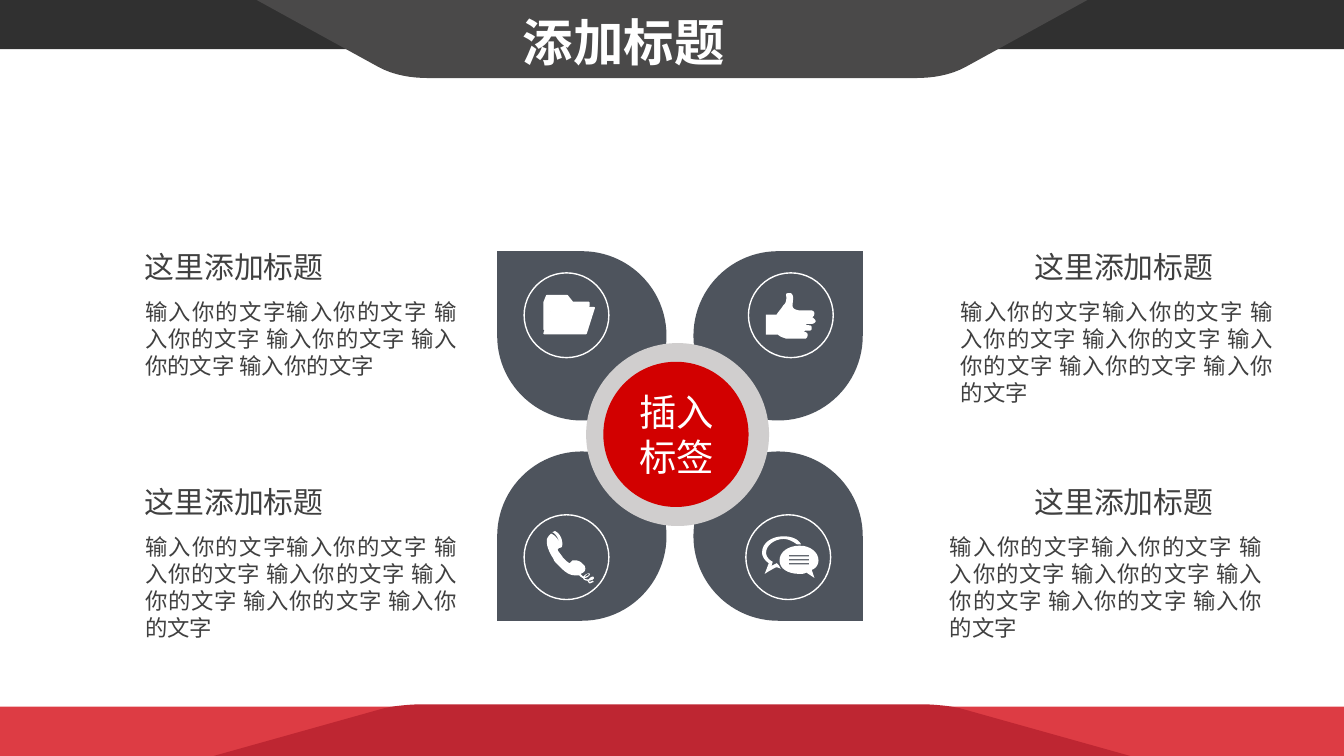
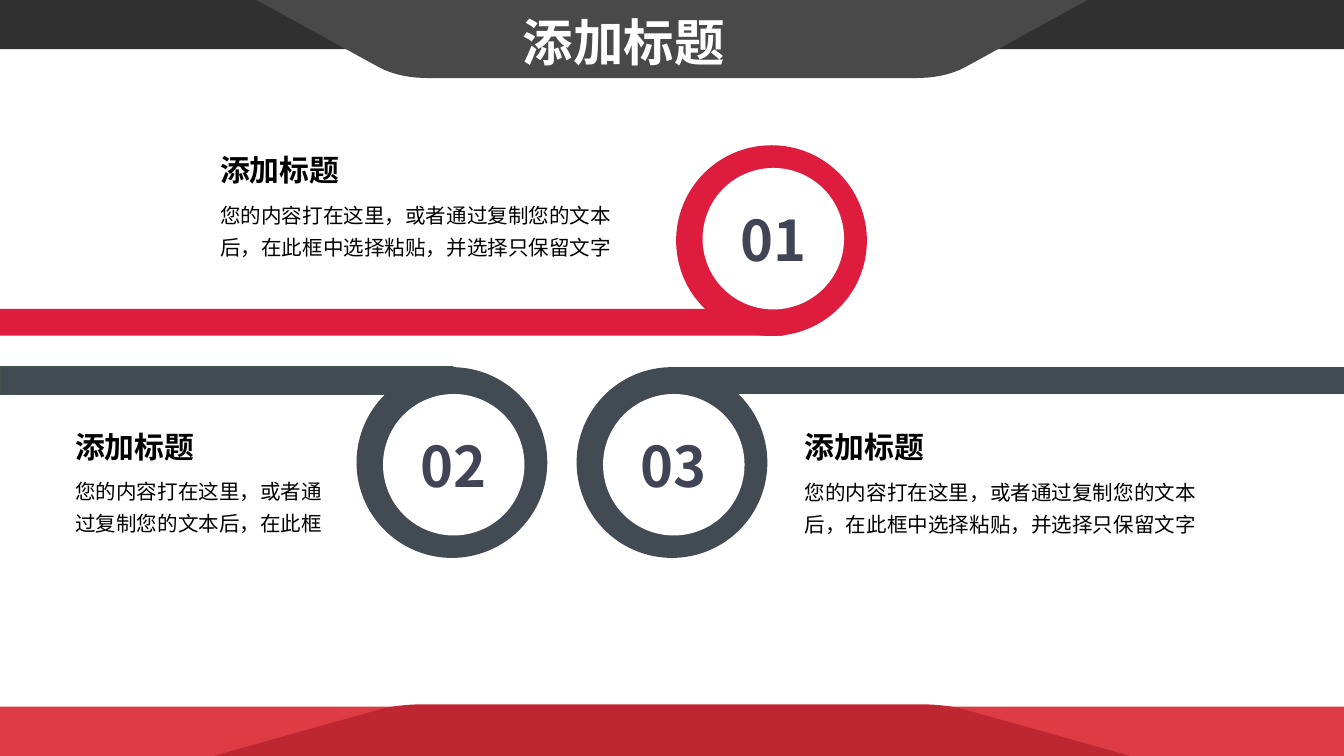
from lxml.etree import SubElement
from pptx import Presentation
from pptx.dml.color import RGBColor
from pptx.enum.shapes import MSO_SHAPE
from pptx.enum.text import MSO_ANCHOR, MSO_AUTO_SIZE, PP_ALIGN
from pptx.oxml.ns import qn
from pptx.util import Pt

FONT = "Noto Sans CJK SC"
WIDTH, HEIGHT = 720, 405
WHITE, BLACK, GREY_TEXT, NUMBER = "FFFFFF", "000000", "404040", "414455"
RED, DARK_RED, CHARCOAL, GREY = "DD3C44", "BE2632", "303030", "4A4949"
PETAL, RING, CORE = "222A35", "D0CECE", "D20000"
CRIMSON, SLATE, SLATE_EDGE = "DD1C3E", "424A53", "41514E"

BADGE = 45.4  # diameter of the circle round an icon
ICON_UNIT = 0.72  # size of one step of the icon grid

# Icon contours on a grid from the badge's corner:
# pairs are line ends, sixes are Bézier curves
FOLDER = [
    [(52, 26), (46, 45), (15, 45), (21, 26)],
    [(20, 26), (21, 25), (48, 25), (48, 22), (36, 22), (32, 17), (17, 17),
     (15, 22), (15, 42)],
]
THUMB = [[
    (47, 38), (48, 38, 50, 37, 50, 36), (50, 35, 48, 33, 47, 33), (44, 33),
    (47, 33), (48, 33, 49, 32, 49, 30), (49, 29, 48, 28, 47, 28), (38, 28),
    (31, 27, 33, 24, 33, 21), (34, 17, 32, 15, 31, 15),
    (30, 15, 28, 15, 28, 16), (28, 17, 29, 22, 26, 24),
    (25, 26, 22, 29, 21, 31), (13, 31), (13, 46), (22, 46),
    (24, 48, 26, 48, 28, 49), (30, 49, 32, 49, 34, 49), (42, 49),
    (43, 49, 44, 48, 44, 46), (44, 45, 43, 44, 42, 44), (41, 44), (42, 43),
    (45, 43), (47, 43, 47, 42, 47, 41), (47, 40, 47, 39, 45, 39), (43, 39),
    (43, 38),
]]
PHONE = [
    [
        (23, 12), (29, 15, 29, 23, 28, 24), (27, 25, 26, 24, 25, 26),
        (25, 27, 28, 30, 29, 32), (30, 33, 33, 36, 34, 36), (36, 34),
        (37, 34, 41, 33, 44, 37), (45, 37, 47, 41, 44, 43), (42, 44),
        (44, 46), (45, 45, 46, 44, 47, 44), (48, 43, 49, 44, 49, 44),
        (49, 45, 48, 46, 46, 47), (45, 47), (45, 48, 46, 48, 48, 48),
        (49, 47, 50, 46, 51, 46), (52, 46, 52, 47, 52, 47),
        (52, 48, 50, 49, 48, 49), (48, 50, 50, 50, 51, 49), (52, 50),
        (51, 50, 50, 51, 49, 51), (48, 51, 48, 50, 47, 49),
        (45, 49, 44, 48, 44, 47), (43, 47, 42, 46, 41, 45), (39, 45),
        (37, 45, 33, 46, 25, 37), (23, 35, 22, 34, 22, 33),
        (16, 24, 17, 20, 17, 18), (18, 16, 19, 15, 20, 14),
        (23, 15, 25, 18, 26, 20), (26, 19, 24, 14, 21, 13),
    ],
    [(47, 44), (48, 44), (48, 45), (46, 46), (45, 46)],
]
CHAT = [
    [
        (23, 36), (19, 38), (20, 35), (16, 33, 15, 30, 15, 28),
        (15, 23, 21, 18, 28, 18), (32, 18, 35, 20, 38, 22), (41, 22),
        (39, 18, 34, 16, 28, 16), (19, 16, 12, 21, 12, 28),
        (12, 31, 14, 34, 17, 36), (14, 44), (17, 42),
        (19, 41, 22, 39, 23, 39), (26, 40), (25, 39, 25, 38, 24, 37),
    ],
    [
        (54, 34), (54, 28, 48, 23, 40, 23), (31, 23, 25, 28, 25, 34),
        (25, 40, 31, 44, 40, 44), (42, 44, 43, 44, 45, 43), (51, 47),
        (49, 41), (52, 40, 54, 37, 54, 34),
    ],
    *[[(32, y), (47, y), (47, y + 1), (32, y + 1)] for y in (30, 33, 36)],
]


def rgb(value):
    return RGBColor.from_string(value)


def flatten(contour, steps=8):
    """Turn line ends and Bézier curves into plain points."""
    points = []
    for step in contour:
        if len(step) == 2:
            points.append(step)
            continue
        nodes = [points[-1], step[:2], step[2:4], step[4:]]
        for i in range(1, steps + 1):
            t = i / steps
            weights = ((1 - t) ** 3, 3 * t * (1 - t) ** 2, 3 * t * t * (1 - t), t ** 3)
            points.append(tuple(sum(w * n[a] for w, n in zip(weights, nodes)) for a in (0, 1)))
    return points


class Deck:
    def __init__(self):
        self.prs = Presentation()
        self.prs.slide_width, self.prs.slide_height = Pt(WIDTH), Pt(HEIGHT)
        self.s = None

    def slide(self, title):
        self.s = self.prs.slides.add_slide(self.prs.slide_layouts[5])
        # Bottom and top bands, each with its raised middle panel
        self.shape(MSO_SHAPE.RECTANGLE, 0, 378.6, WIDTH, 26.4, RED)
        self.panel([(114.5, 405), (203, 380.2), (210.2, 378, 220.3, 377.3, 229, 377.3)], DARK_RED)
        self.shape(MSO_SHAPE.RECTANGLE, 0, 0, WIDTH, 26.4, CHARCOAL)
        self.panel([(137.5, 0), (203, 36), (211, 40.3, 220.3, 41.8, 229.5, 41.8)], GREY)
        # Title, brought in front of the bands
        sp = self.s.shapes.title
        self.s.shapes._spTree.append(sp._element)
        sp.left, sp.top, sp.width, sp.height = Pt(272.9), Pt(2.2), Pt(123.8), Pt(40.3)
        self.set_text(sp.text_frame, title, 27, WHITE, bold=True, wrap=False)

    def paint(self, sp, fill=None, line=None, weight=1, alpha=None):
        sp.shadow.inherit = False
        if fill:
            sp.fill.solid()
            sp.fill.fore_color.rgb = rgb(fill)
        else:
            sp.fill.background()
        if alpha:
            color = sp._element.spPr.find(qn("a:solidFill"))[0]
            SubElement(color, qn("a:alpha"), val=str(alpha * 1000))
        if line:
            sp.line.color.rgb = rgb(line)
            sp.line.width = Pt(weight)
        else:
            sp.line.fill.background()

    def shape(self, kind, x, y, w, h, fill=None, flip="", **style):
        sp = self.s.shapes.add_shape(kind, Pt(x), Pt(y), Pt(w), Pt(h))
        self.paint(sp, fill, **style)
        for axis in flip:
            sp._element.spPr.xfrm.set("flip" + axis, "1")
        return sp

    def circle(self, x, y, size, fill=None, **style):
        return self.shape(MSO_SHAPE.OVAL, x, y, size, size, fill, **style)

    def outline(self, contours, fill, x=0, y=0, unit=1, **style):
        fb = None
        for contour in contours:
            points = [((x + px * unit) * 100, (y + py * unit) * 100)
                      for px, py in flatten(contour)]
            if fb is None:
                fb = self.s.shapes.build_freeform(*points[0], scale=Pt(1) / 100)
            else:
                fb.move_to(*points[0])
            fb.add_line_segments(points[1:], close=True)
        self.paint(fb.convert_to_shape(), fill, **style)

    def panel(self, left_edge, fill):
        left = flatten(left_edge)
        self.outline([left + [(WIDTH - x, y) for x, y in reversed(left)]], fill)

    def set_text(self, tf, text, size, color, bold=False, wrap=True, align=PP_ALIGN.LEFT,
                 spacing=None, anchor=MSO_ANCHOR.TOP, grow=True, inset=(7.2, 3.6)):
        tf.text = text
        tf.word_wrap = wrap
        tf.vertical_anchor = anchor
        tf.auto_size = MSO_AUTO_SIZE.SHAPE_TO_FIT_TEXT if grow else MSO_AUTO_SIZE.NONE
        tf.margin_left = tf.margin_right = Pt(inset[0])
        tf.margin_top = tf.margin_bottom = Pt(inset[1])
        for p in tf.paragraphs:
            p.alignment = align
            if spacing:
                p.line_spacing = spacing
            font = p.font
            font.size, font.bold, font.name = Pt(size), bold, FONT
            font.color.rgb = rgb(color)
            SubElement(font._rPr, qn("a:ea"), typeface=FONT)

    def text(self, x, y, w, h, text, size, color, **style):
        tb = self.s.shapes.add_textbox(Pt(x), Pt(y), Pt(w), Pt(h))
        self.set_text(tb.text_frame, text, size, color, **style)

    def icon(self, x, y, parts, **style):
        for contours in parts:
            self.outline(contours, WHITE, x, y, ICON_UNIT, **style)
        self.circle(x, y, BADGE, line=WHITE, weight=0.75)


def petals_slide(deck):
    deck.slide("添加标题")
    # Four petals round a labelled core
    for y, vertical in ((134.6, ""), (241.9, "V")):
        for x, horizontal in ((371.5, ""), (266.4, "H")):
            deck.shape(MSO_SHAPE.TEAR, x, y, 90.7, 90.7, PETAL,
                       flip=horizontal + vertical, alpha=80)
    deck.circle(314, 183.8, 98, RING)
    deck.circle(323.2, 193.8, 77.8, CORE)
    # Icons
    deck.icon(280.8, 146.2, [[part] for part in FOLDER], line=WHITE)
    deck.icon(399.6, 275.8, [CHAT[:1], CHAT[1:]])
    deck.icon(280.8, 275.8, [PHONE])
    deck.icon(401, 146.2, [THUMB])
    # Captions: heading x and width, body x, row top, repeats in the body
    phrase = "输入你的文字"
    for head_x, head_w, body_x, y, repeats in (
        (547.2, 118.8, 507.6, 129.6, 6),
        (547.2, 118.8, 501.8, 255.6, 6),
        (70.6, 175.7, 70.6, 129.6, 5),
        (70.6, 175.7, 70.6, 255.6, 6),
    ):
        body = phrase + " ".join([phrase] * repeats)
        deck.text(body_x, y + 26.6, 181.4, 65.5 if repeats == 6 else 51.1, body, 12,
                  GREY_TEXT, align=PP_ALIGN.JUSTIFY)
        deck.text(head_x, y, head_w, 26.6, "这里添加标题", 16, GREY_TEXT)
    deck.text(335.5, 205.2, 54.7, 55.4, "插入\n标签", 20, WHITE, wrap=False)


def loops_slide(deck):
    deck.slide("添加标题")
    # Bars that run into numbered loops
    for number, color, edge, bar_x, bar_y, bar_w, x, y, dx, dy in (
        ("02", SLATE, SLATE_EDGE, 0, 196.7, 242.8, 191, 196.7, 14.2, 14.4),
        ("01", CRIMSON, None, 0, 165.5, 419.8, 362.2, 77.8, 14.2, 12.2),
        ("03", SLATE, None, 360, 196.7, 360, 308.9, 196.7, 14.2, 14.4),
    ):
        deck.shape(MSO_SHAPE.RECTANGLE, bar_x, bar_y, bar_w, 14.4, color, line=edge)
        deck.circle(x, y, 102.2, color)
        hole = deck.circle(x + dx, y + dy, 75.8, WHITE)
        deck.set_text(hole.text_frame, number, 30, NUMBER, bold=True, grow=False,
                      align=PP_ALIGN.CENTER, anchor=MSO_ANCHOR.MIDDLE)
    # Captions
    short = "您的内容打在这里，或者通过复制您的文本后，在此框"
    full = short + "中选择粘贴，并选择只保留文字"
    inset = (5, 2.9)
    for x, y, w, body in (
        (113, 78.6, 228.2, full),
        (35.3, 226.6, 149.8, short),
        (426.2, 227, 228.2, full),
    ):
        deck.text(x, y + 23.4, w, 40.3, body, 11, BLACK, spacing=1.3, inset=inset)
        deck.text(x, y, 75.6, 25.2, "添加标题", 16, BLACK, bold=True, wrap=False, inset=inset)


def main():
    deck = Deck()
    petals_slide(deck)
    loops_slide(deck)
    deck.prs.save("out.pptx")


if __name__ == "__main__":
    main()
